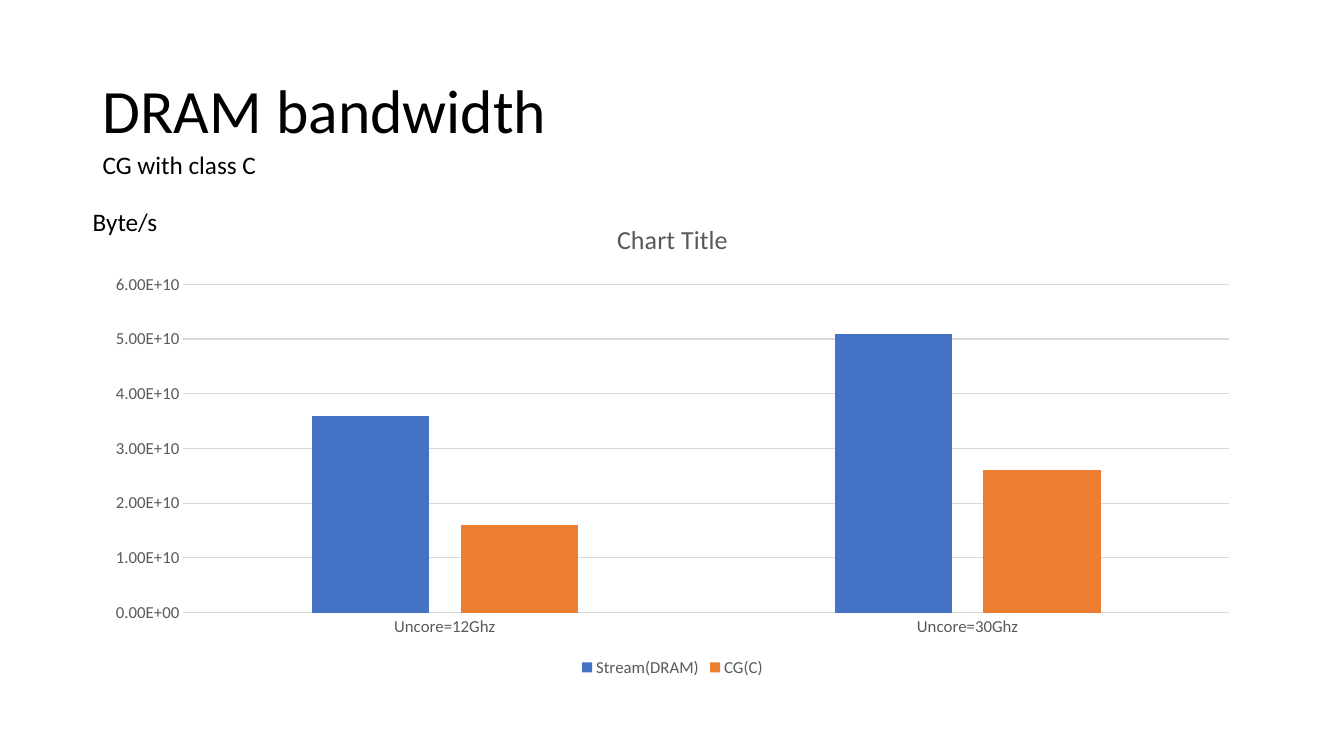
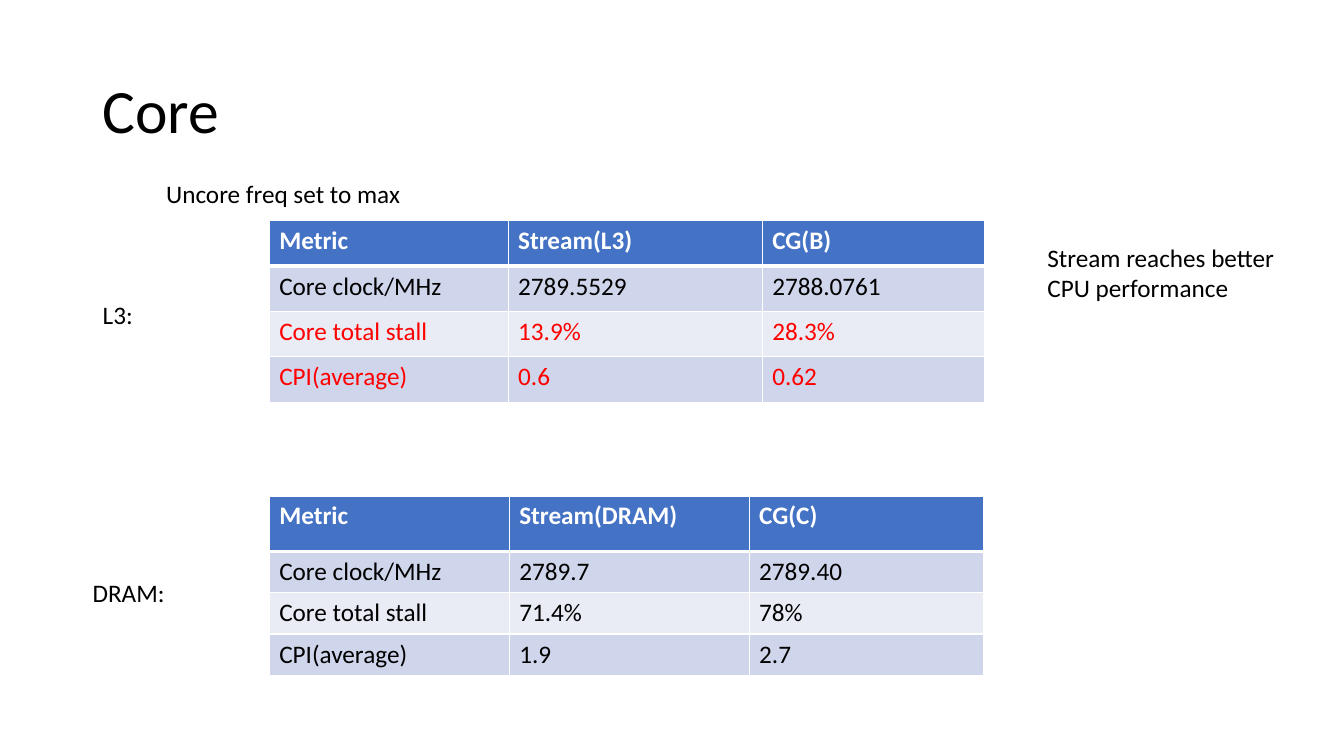
from pptx import Presentation
from pptx.chart.data import CategoryChartData as ChartData
from pptx.dml.color import RGBColor
from pptx.enum.chart import XL_CHART_TYPE as Kind, XL_LEGEND_POSITION as Spot, XL_TICK_MARK as Tick
from pptx.enum.text import MSO_ANCHOR as Anchor, MSO_AUTO_SIZE as Auto
from pptx.oxml import parse_xml
from pptx.oxml.ns import nsdecls
from pptx.util import Inches, Pt

FONT = "Calibri"
BLACK = RGBColor(0x00, 0x00, 0x00)
WHITE = RGBColor(0xFF, 0xFF, 0xFF)
RED = RGBColor(0xFF, 0x00, 0x00)
GREY = RGBColor(0x59, 0x59, 0x59)
RULE = RGBColor(0xD9, 0xD9, 0xD9)
BLUE = RGBColor(0x44, 0x72, 0xC4)
ORANGE = RGBColor(0xED, 0x7D, 0x31)
BANDS = (RGBColor(0xE9, 0xEB, 0xF5), RGBColor(0xCF, 0xD5, 0xEA))


def set_font(font, size, color=BLACK, bold=False):
    """Apply the deck font with a size, colour and weight."""
    font.name = FONT
    font.size = Pt(size)
    font.color.rgb = color
    font.bold = bold


def add_text(slide, text, left, top, width, height, size=18):
    """Add a wrapped text box and return its frame."""
    box = slide.shapes.add_textbox(Inches(left), Inches(top), Inches(width), Inches(height))
    frame = box.text_frame
    frame.word_wrap = True
    frame.text = text
    set_font(frame.paragraphs[0].runs[0].font, size)
    return frame


def add_note(slide, text, left, top, width, height=0.4):
    """Add a body-size label that grows with its text."""
    frame = add_text(slide, text, left, top, width, height)
    frame.auto_size = Auto.SHAPE_TO_FIT_TEXT


def add_page(deck, title):
    """Add a blank slide with the shared title style."""
    slide = deck.slides.add_slide(deck.slide_layouts[6])
    frame = add_text(slide, title, 0.92, 0.4, 11.5, 1.45, 44)
    frame.vertical_anchor = Anchor.MIDDLE
    frame.paragraphs[0].line_spacing = 0.9
    return slide


def style_axis(axis):
    """Give an axis its font and remove its ticks."""
    set_font(axis.tick_labels.font, 12, GREY)
    axis.major_tick_mark = Tick.NONE
    axis.minor_tick_mark = Tick.NONE


def style_line(line):
    """Draw a thin grey chart line."""
    line.color.rgb = RULE
    line.width = Pt(0.75)


def add_bars(slide, title, cats, series):
    """Add the clustered column chart."""
    data = ChartData(number_format="0.00E+00")
    data.categories = cats
    for name, vals, _ in series:
        data.add_series(name, vals)
    chart = slide.shapes.add_chart(Kind.COLUMN_CLUSTERED, Inches(0.92), Inches(2),
                                   Inches(11.5), Inches(4.76), data).chart
    set_font(chart.font, 10)
    chart.has_title = True
    frame = chart.chart_title.text_frame
    frame.text = title
    set_font(frame.paragraphs[0].runs[0].font, 18.6, GREY)
    chart.chart_title.include_in_layout = False
    chart.has_legend = True
    chart.legend.position = Spot.BOTTOM
    chart.legend.include_in_layout = False
    set_font(chart.legend.font, 12, GREY)
    cat, val = chart.category_axis, chart.value_axis
    style_axis(cat)
    style_axis(val)
    style_line(cat.format.line)
    style_line(val.major_gridlines.format.line)
    val.format.line.fill.background()
    val.minimum_scale, val.maximum_scale, val.major_unit = 0, 6e10, 1e10
    val.tick_labels.number_format = "0.00E+00"
    val.tick_labels.number_format_is_linked = False
    plot = chart.plots[0]
    plot.gap_width, plot.overlap = 219, -27
    plot.vary_by_categories = False
    for bar, (_, _, color) in zip(plot.series, series):
        bar.format.fill.solid()
        bar.format.fill.fore_color.rgb = color


def set_edges(cell, row):
    """Draw white cell edges, with a thick rule under the header."""
    props = cell._tc.get_or_add_tcPr()
    widths = {"L": 1, "R": 1, "T": 3 if row == 1 else 1, "B": 3 if row == 0 else 1}
    for spot, (side, width) in enumerate(widths.items()):
        props.insert(spot, parse_xml(
            f'<a:ln{side} {nsdecls("a")} w="{Pt(width)}"><a:solidFill>'
            f'<a:srgbClr val="{WHITE}"/></a:solidFill></a:ln{side}>'))


def add_grid(slide, top, cols, rows, cells, reds=()):
    """Add a banded table; rows listed in reds get red text."""
    table = slide.shapes.add_table(len(rows), len(cols), Inches(2.67), Inches(top),
                                   Inches(sum(cols)), Inches(sum(rows))).table
    for col, width in zip(table.columns, cols):
        col.width = Inches(width)
    for i, height in enumerate(rows):
        table.rows[i].height = Inches(height)
        ink = WHITE if i == 0 else RED if i in reds else BLACK
        for j, text in enumerate(cells[i]):
            cell = table.cell(i, j)
            cell.text_frame.text = text
            set_font(cell.text_frame.paragraphs[0].runs[0].font, 18, ink, i == 0)
            cell.fill.solid()
            cell.fill.fore_color.rgb = BANDS[i % 2] if i else BLUE
            set_edges(cell, i)


def add_dram(deck):
    """Build the bandwidth slide."""
    slide = add_page(deck, "DRAM bandwidth")
    add_bars(slide, "Chart Title", ("Uncore=12Ghz", "Uncore=30Ghz"),
             (("Stream(DRAM)", (3.6e10, 5.1e10), BLUE), ("CG(C)", (1.6e10, 2.6e10), ORANGE)))
    add_note(slide, "Byte/s", 0.82, 2, 1.04)
    add_note(slide, "CG with class C", 0.92, 1.43, 4.55)


def add_core(deck):
    """Build the core metrics slide."""
    slide = add_page(deck, "Core")
    add_grid(slide, 2.19, (2.37, 2.52, 2.21), (0.45,) * 4, (
        ("Metric", "Stream(L3)", "CG(B)"),
        ("Core clock/MHz", "2789.5529", "2788.0761"),
        ("Core total stall", "13.9%", "28.3%"),
        ("CPI(average)", "0.6", "0.62")), reds=(2, 3))
    add_grid(slide, 4.92, (2.38, 2.38, 2.33), (0.55,) + (0.41,) * 3, (
        ("Metric", "Stream(DRAM)", "CG(C)"),
        ("Core clock/MHz", "2789.7", "2789.40"),
        ("Core total stall", "71.4%", "78%"),
        ("CPI(average)", "1.9", "2.7")))
    add_note(slide, "Uncore freq set to max", 1.55, 1.72, 3.06)
    add_note(slide, "L3:", 0.92, 2.92, 1.35)
    add_note(slide, "DRAM:", 0.82, 5.68, 1.49)
    add_note(slide, "Stream reaches better CPU performance", 10.29, 2.35, 2.88, 0.71)


def main():
    """Build and save the deck."""
    deck = Presentation()
    deck.slide_width, deck.slide_height = Inches(13.33), Inches(7.5)
    add_dram(deck)
    add_core(deck)
    deck.save("out.pptx")


main()
